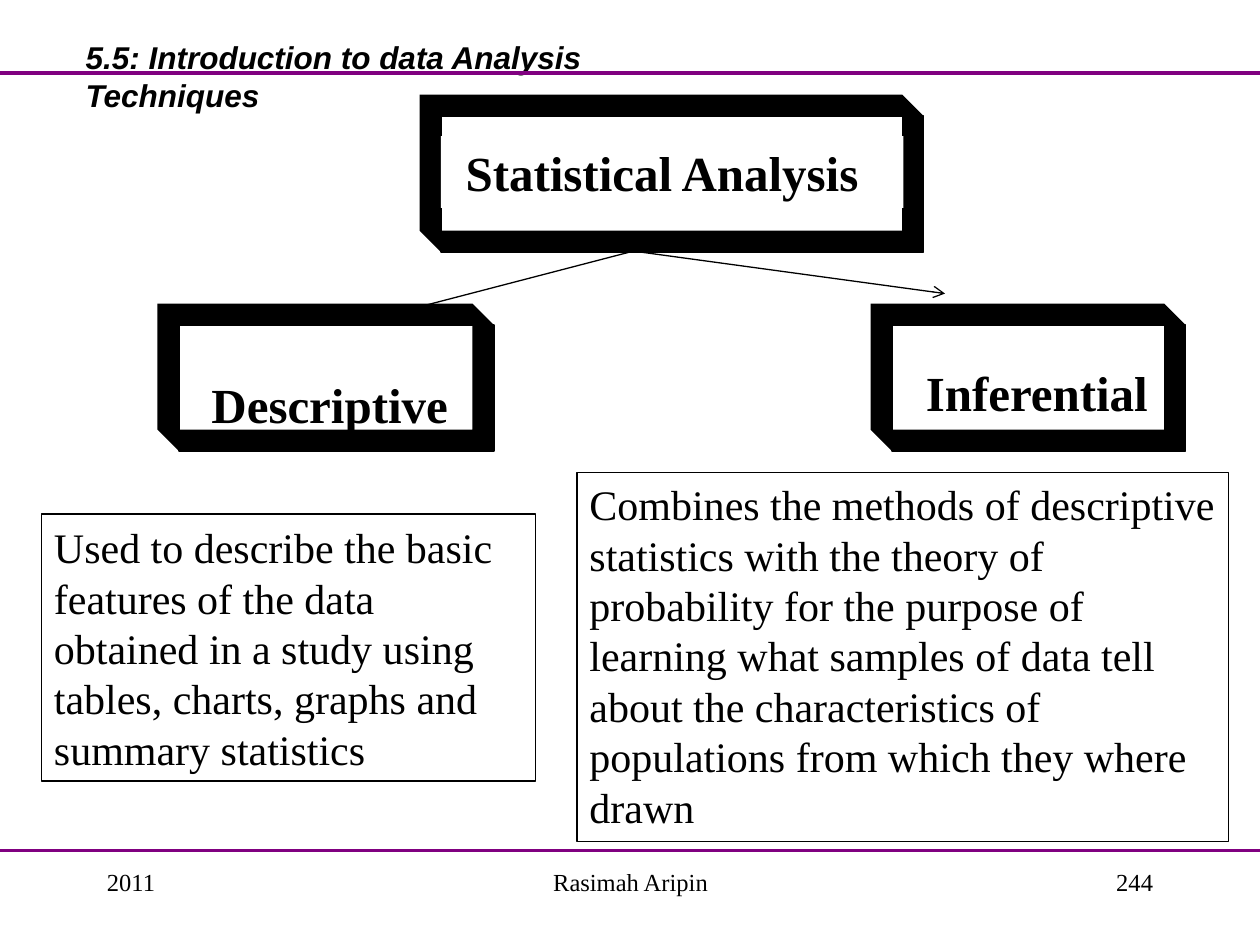
"""Build the slide that splits statistical analysis into descriptive and inferential branches."""
import lxml.etree
import pptx
import pptx.dml.color
import pptx.enum.shapes
import pptx.enum.text
import pptx.oxml.ns
import pptx.util

Inches = pptx.util.Inches
ALIGN = pptx.enum.text.PP_ALIGN
ANCHOR = pptx.enum.text.MSO_ANCHOR
BLACK = pptx.dml.color.RGBColor(0x00, 0x00, 0x00)
WHITE = pptx.dml.color.RGBColor(0xFF, 0xFF, 0xFF)
PURPLE = pptx.dml.color.RGBColor(0x80, 0x00, 0x80)
DEPTH = Inches(0.17)


def write(shape, lines, size, bold=False, italic=False, font="Times New Roman",
          align=ALIGN.LEFT, anchor=ANCHOR.TOP, wrap=True):
    frame = shape.text_frame
    frame.word_wrap = wrap
    frame.auto_size = pptx.enum.text.MSO_AUTO_SIZE.NONE
    frame.vertical_anchor = anchor
    for index, line in enumerate(lines):
        para = frame.add_paragraph() if index else frame.paragraphs[0]
        para.alignment = align
        span = para.add_run()
        span.text = line
        span.font.name = font
        span.font.size = pptx.util.Pt(size)
        span.font.bold = bold
        span.font.italic = italic
        span.font.color.rgb = BLACK


def connect(start, end, color, width, arrow=False):
    line = page.shapes.add_connector(
        pptx.enum.shapes.MSO_CONNECTOR.STRAIGHT, *map(Inches, start + end))
    line.line.color.rgb = color
    line.line.width = pptx.util.Pt(width)
    if arrow:
        outline = line.line._get_or_add_ln()
        lxml.etree.SubElement(outline, pptx.oxml.ns.qn("a:tailEnd"), type="arrow")
    lxml.etree.SubElement(line._element.spPr, pptx.oxml.ns.qn("a:effectLst"))


deck = pptx.Presentation()
deck.slide_width = Inches(10)
deck.slide_height = Inches(7.5)
page = deck.slides.add_slide(deck.slide_layouts[5])
page.background.fill.solid()
page.background.fill.fore_color.rgb = WHITE

for height in (6.75, 0.58):
    connect((0, height), (10, height), PURPLE, 2)

footers = [
    ("2011", 0.75, 2.08, ALIGN.LEFT),
    ("Rasimah Aripin", 3.42, 3.17, ALIGN.CENTER),
    ("244", 7.17, 2.08, ALIGN.RIGHT),
]
for text, left, width, align in footers:
    box = page.shapes.add_textbox(Inches(left), Inches(6.83), Inches(width), Inches(0.5))
    write(box, [text], 14, align=align)

connect((5, 2), (3.08, 2.5), BLACK, 0.75, arrow=True)
connect((5.08, 2), (7.5, 2.33), BLACK, 0.75, arrow=True)

for place in [
    (3.5, 0.92, 3.83, 1.08),
    (7.08, 2.58, 2.33, 1),
    (1.42, 2.58, 2.5, 1),
]:
    left, top, width, height = map(Inches, place)
    right, bottom = left + width, top + height
    back_left, back_top = left - DEPTH, top - DEPTH
    back_right, back_bottom = right - DEPTH, bottom - DEPTH
    outer = [(back_right, back_top), (right, top), (right, bottom),
             (left, bottom), (back_left, back_bottom)]
    inner = [(left, back_bottom), (back_right, back_bottom), (back_right, top)]
    builder = page.shapes.build_freeform(back_left, back_top)
    builder.add_line_segments(outer, close=True)
    builder.move_to(left, top)
    builder.add_line_segments(inner, close=True)
    extrusion = builder.convert_to_shape()
    extrusion.shadow.inherit = False
    extrusion.fill.solid()
    extrusion.fill.fore_color.rgb = BLACK
    extrusion.line.fill.background()

    face = page.shapes.add_shape(
        pptx.enum.shapes.MSO_SHAPE.RECTANGLE, left, top, width, height)
    face.shadow.inherit = False
    face.fill.background()
    face.line.color.rgb = BLACK
    face.line.width = pptx.util.Pt(1)

heading = page.shapes.add_shape(
    pptx.enum.shapes.MSO_SHAPE.RECTANGLE, *map(Inches, (3.5, 1.08, 3.67, 0.57)))
heading.shadow.inherit = False
heading.fill.solid()
heading.fill.fore_color.rgb = WHITE
heading.line.fill.background()
write(heading, [" Statistical Analysis"], 28, bold=True)

for text, left, top, width in [
    ("Descriptive", 1.58, 2.92, 2.08),
    ("Inferential", 7.25, 2.83, 1.97),
]:
    box = page.shapes.add_textbox(Inches(left), Inches(top), Inches(width), Inches(0.57))
    write(box, [text], 28, bold=True, wrap=False)

descriptions = [
    ((4.58, 3.75, 5.17, 2.93), ANCHOR.TOP,
     ["Combines the methods of descriptive statistics with the theory of probability "
      "for the purpose of learning what samples of data tell about the characteristics "
      "of populations from which they where drawn"]),
    ((0.33, 4.08, 3.92, 2.12), ANCHOR.MIDDLE,
     ["Used to describe the basic",
      "features of the data obtained in a study using tables, charts, graphs and "
      "summary statistics"]),
]
for place, anchor, lines in descriptions:
    box = page.shapes.add_shape(
        pptx.enum.shapes.MSO_SHAPE.RECTANGLE, *map(Inches, place))
    box.shadow.inherit = False
    box.fill.background()
    box.line.color.rgb = BLACK
    box.line.width = pptx.util.Pt(1)
    write(box, lines, 24, anchor=anchor)

title = page.shapes.title
title.left, title.top, title.width, title.height = map(Inches, (0.58, 0.25, 5.42, 0.4))
write(title, ["5.5: Introduction to data Analysis Techniques"], 18,
      bold=True, italic=True, font="Arial")

deck.save("out.pptx")
